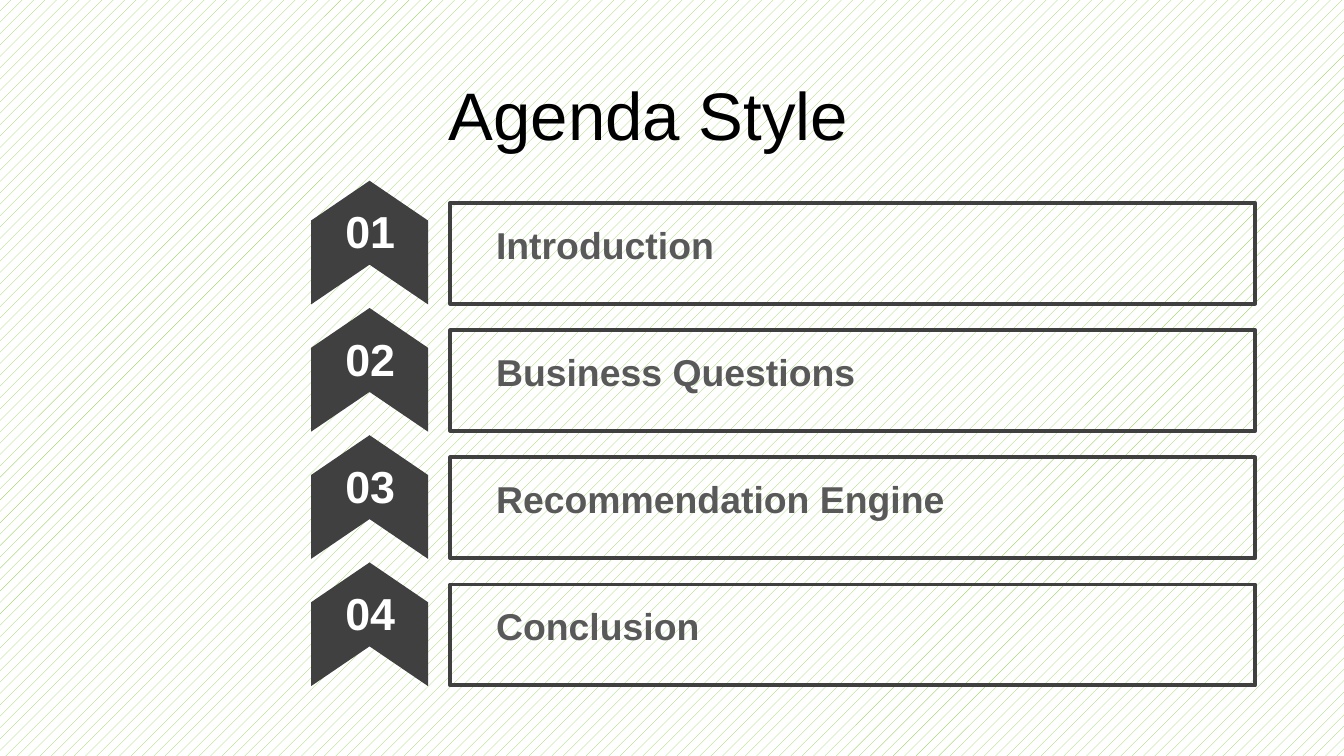
"""Build the agenda slide with four numbered topics."""
from dataclasses import dataclass

from pptx import Presentation
from pptx import util as u
from pptx.dml.color import RGBColor
from pptx.enum import dml, shapes, text

COLORS = {
    "title": "000000",
    "dark": "404040",
    "label": "595959",
    "white": "FFFFFF",
    "green": "92D050",
}
FONT = "Arial"
FIRST_TOP = 1.51
LAST_TOP = 4.35


@dataclass(frozen=True)
class Topic:
    number: str
    label: str


TOPICS = [
    Topic("01", "Introduction"),
    Topic("02", "Business Questions"),
    Topic("03", "Recommendation Engine"),
    Topic("04", "Conclusion"),
]
ROW_PITCH = (LAST_TOP - FIRST_TOP) / (len(TOPICS) - 1)


def color(name: str) -> RGBColor:
    return RGBColor.from_string(COLORS[name])


def write_text(shape, content: str, *, size: float, ink: str, bold=False,
               align=text.PP_ALIGN.LEFT, anchor=text.MSO_ANCHOR.TOP) -> None:
    frame = shape.text_frame
    frame.word_wrap = True
    frame.vertical_anchor = anchor
    paragraph = frame.paragraphs[0]
    paragraph.alignment = align
    run = paragraph.add_run()
    run.text = content
    run.font.name = FONT
    run.font.size = u.Pt(size)
    run.font.bold = bold
    run.font.color.rgb = color(ink)


def add_box(slide, kind, left: float, top: float, width: float, height: float,
            *, fill=None, line=None):
    shape = slide.shapes.add_shape(
        kind, u.Inches(left), u.Inches(top), u.Inches(width), u.Inches(height))
    shape.shadow.inherit = False
    if fill:
        shape.fill.solid()
        shape.fill.fore_color.rgb = color(fill)
    else:
        shape.fill.background()
    if line:
        shape.line.color.rgb = color(line)
        shape.line.width = u.Pt(2)
    else:
        shape.line.fill.background()
    return shape


def add_text_box(slide, left: float, top: float, width: float, height: float):
    return slide.shapes.add_textbox(
        u.Inches(left), u.Inches(top), u.Inches(width), u.Inches(height))


def add_topic(slide, topic: Topic, top: float) -> None:
    kinds = shapes.MSO_SHAPE
    add_box(slide, kinds.RECTANGLE, 3.35, top, 5.99, 0.75, line="dark")
    label = add_box(slide, kinds.ROUND_2_SAME_RECTANGLE,
                    3.57, top + 0.07, 5.51, 0.46)
    write_text(label, topic.label, size=20, ink="label", bold=True)
    chevron = add_box(slide, kinds.CHEVRON, 2.29, top - 0.14, 0.92, 0.87, fill="dark")
    chevron.rotation = 270
    chevron.adjustments[0] = 0.34
    number = add_text_box(slide, 2.45, top - 0.04, 0.61, 0.5)
    write_text(number, topic.number, size=24, ink="white", bold=True,
               align=text.PP_ALIGN.CENTER)


def main() -> None:
    presentation = Presentation()
    presentation.slide_width = u.Inches(10)
    presentation.slide_height = u.Inches(10 * 9 / 16)
    slide = presentation.slides.add_slide(presentation.slide_layouts[6])
    backdrop = slide.background.fill
    backdrop.patterned()
    backdrop.pattern = dml.MSO_PATTERN.PERCENT_20
    backdrop.fore_color.rgb = color("green")
    backdrop.back_color.rgb = color("white")

    title = add_text_box(slide, -0.35, 0.53, 10.35, 0.63)
    write_text(title, "Agenda Style", size=36, ink="title",
               align=text.PP_ALIGN.CENTER, anchor=text.MSO_ANCHOR.MIDDLE)
    for row, topic in enumerate(TOPICS):
        add_topic(slide, topic, FIRST_TOP + row * ROW_PITCH)
    presentation.save("out.pptx")


main()
